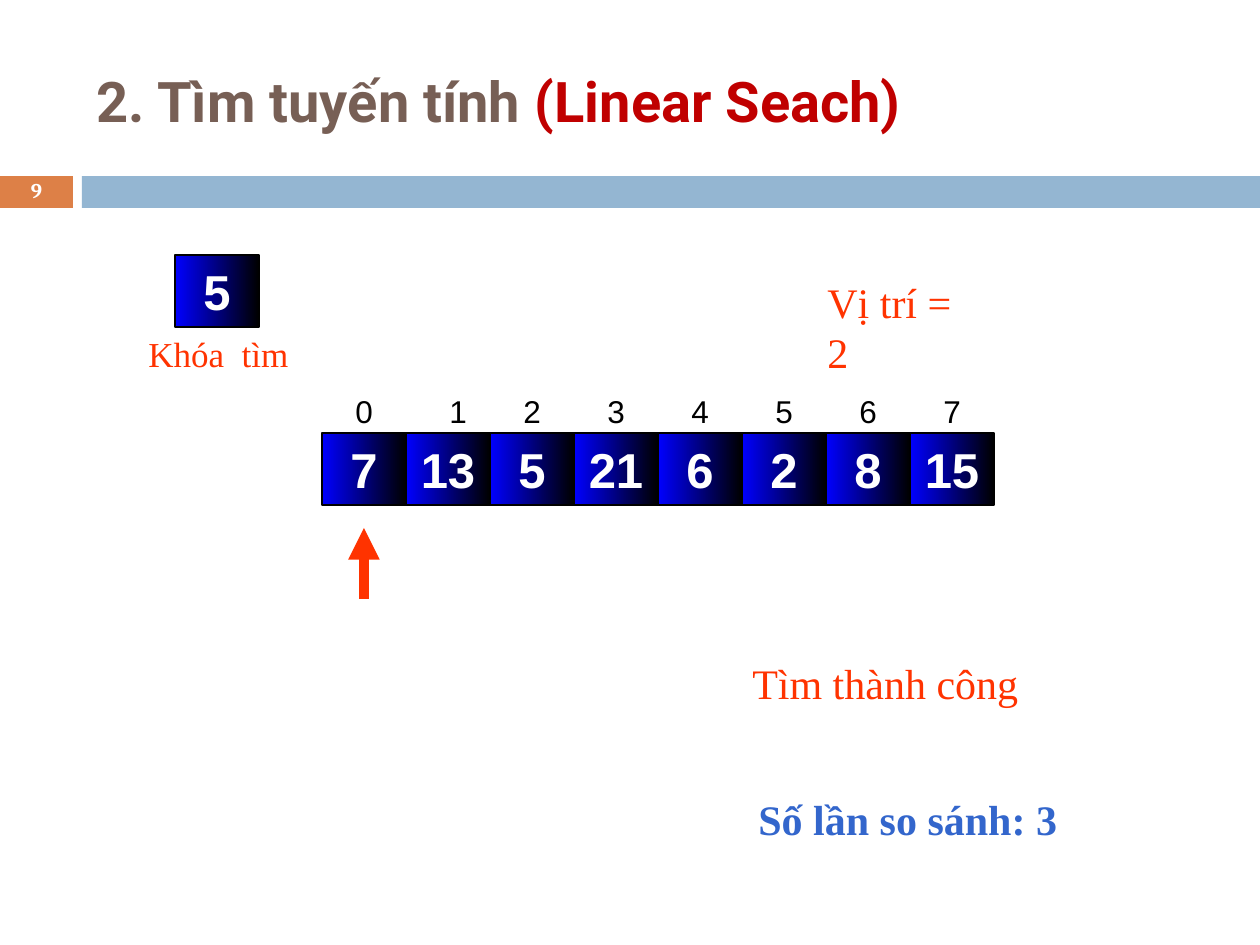
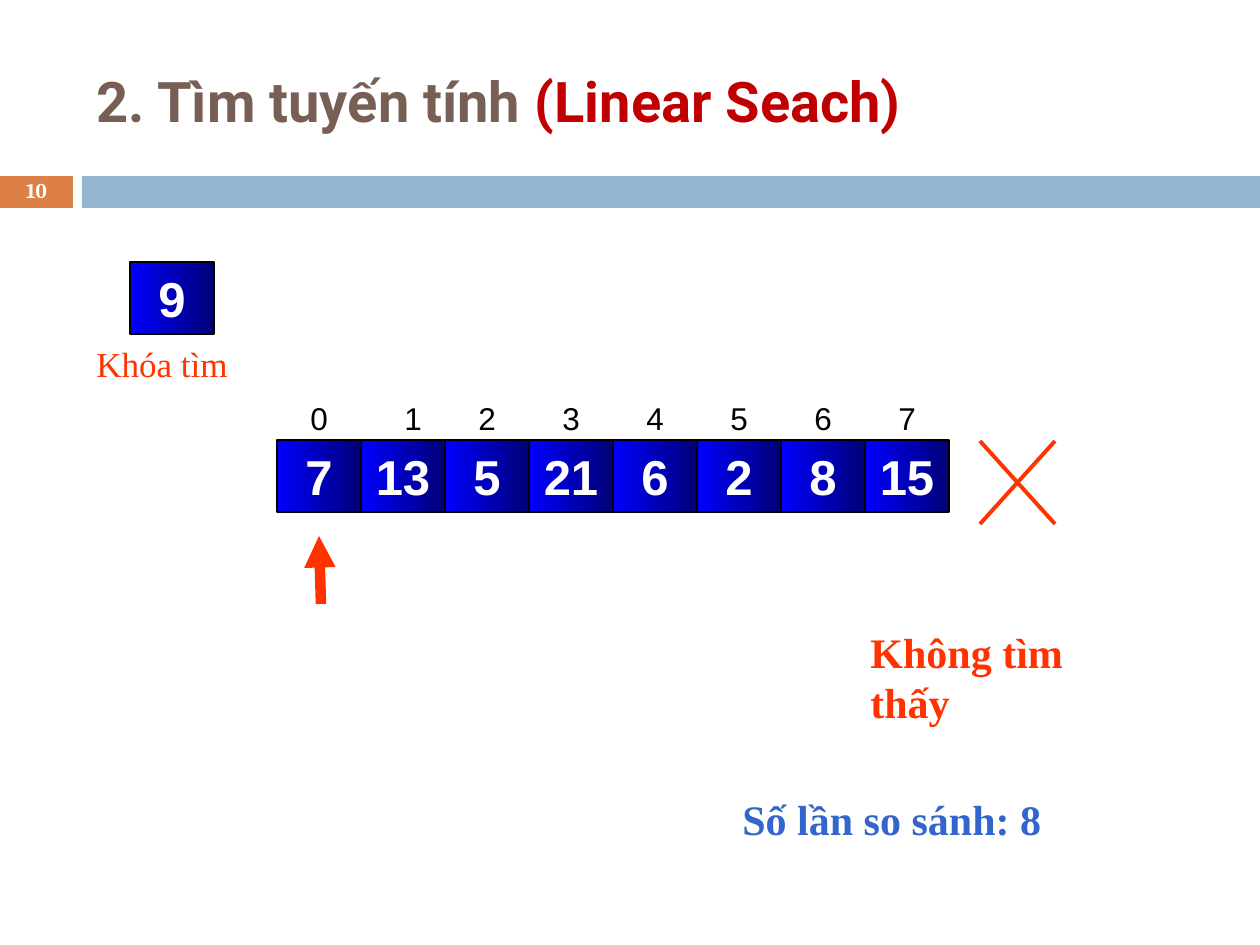
import dataclasses

import lxml.etree
import pptx
import pptx.dml.color
import pptx.enum.shapes
import pptx.enum.text
import pptx.oxml.ns
import pptx.util

PX = 914400 / 126
ALIGN = pptx.enum.text.PP_ALIGN
ANCHOR = pptx.enum.text.MSO_ANCHOR
FIT = pptx.enum.text.MSO_AUTO_SIZE
qn = pptx.oxml.ns.qn


@dataclasses.dataclass(frozen=True)
class Theme:
    brown: str = "775F55"
    crimson: str = "C00000"
    orange: str = "DD8047"
    sky: str = "94B6D2"
    red: str = "FF3300"
    blue: str = "3366CC"
    cell_blue: str = "0000FF"
    navy: str = "000076"
    black: str = "000000"
    white: str = "FFFFFF"
    title_font: str = "Roboto"
    number_font: str = "Cambria"
    cell_font: str = "Arial"
    label_font: str = "Times New Roman"
    title_size: int = 32
    cell_size: int = 28
    result_size: int = 24
    key_size: int = 20
    index_size: int = 18
    number_size: int = 12


def emu(*lengths):
    return [round(n * PX) for n in lengths]


def rgb(color):
    return pptx.dml.color.RGBColor.from_string(color)


class Deck:
    """Builds search slides in one theme."""

    def __init__(self, theme):
        self.theme = theme
        self.prs = pptx.Presentation()
        self.prs.slide_width, self.prs.slide_height = emu(1260, 945)
        self.s = None

    def run(self, p, text, font, size, color, bold=False):
        r = p.add_run()
        r.text = text
        r.font.name = font
        r.font.size = pptx.util.Pt(size)
        r.font.bold = bold
        r.font.color.rgb = rgb(color)

    def slide(self, number):
        t = self.theme
        self.s = self.prs.slides.add_slide(self.prs.slide_layouts[5])
        self.band(0, 73, t.orange)
        self.band(82, 1178, t.sky)
        sp = self.s.shapes.title
        sp.left, sp.top, sp.width, sp.height = emu(84, 32, 1124, 136)
        tf = sp.text_frame
        tf.auto_size = FIT.NONE
        tf.vertical_anchor = ANCHOR.MIDDLE
        p = tf.paragraphs[0]
        p.alignment = ALIGN.LEFT
        self.run(p, "2. Tìm tuyến tính ", t.title_font, t.title_size, t.brown, True)
        self.run(p, "(Linear Seach)", t.title_font, t.title_size, t.crimson, True)
        tf = self.s.shapes.add_textbox(*emu(0, 175, 73, 34)).text_frame
        tf.word_wrap = True
        tf.vertical_anchor = ANCHOR.MIDDLE
        p = tf.paragraphs[0]
        p.alignment = ALIGN.CENTER
        p.line_spacing = 0.8
        self.run(p, str(number), t.number_font, t.number_size, t.white, True)

    def rect(self, x, y, w, h):
        sp = self.s.shapes.add_shape(
            pptx.enum.shapes.MSO_SHAPE.RECTANGLE, *emu(x, y, w, h))
        sp.shadow.inherit = False
        return sp

    def band(self, x, w, color):
        sp = self.rect(x, 176, w, 32)
        sp.fill.solid()
        sp.fill.fore_color.rgb = rgb(color)
        sp.line.fill.background()

    def cell(self, x, y, value, shade):
        t = self.theme
        sp = self.rect(x, y, 84, 72)
        sp.fill.gradient()
        sp.fill.gradient_angle = 0
        for stop, color in zip(sp.fill.gradient_stops, (t.cell_blue, shade)):
            stop.color.rgb = rgb(color)
        sp.line.color.rgb = rgb(t.black)
        sp.line.width = pptx.util.Pt(0.75)
        tf = sp.text_frame
        tf.word_wrap = True
        tf.auto_size = FIT.SHAPE_TO_FIT_TEXT
        tf.vertical_anchor = ANCHOR.TOP
        p = tf.paragraphs[0]
        p.alignment = ALIGN.CENTER
        self.run(p, str(value), t.cell_font, t.cell_size, t.white, True)

    def text(self, box, text, font, size, color, bold=False, wrap=False, group=None):
        tf = (group or self.s).shapes.add_textbox(*emu(*box)).text_frame
        tf.word_wrap = wrap
        tf.auto_size = FIT.SHAPE_TO_FIT_TEXT
        self.run(tf.paragraphs[0], text, font, size, color, bold)

    def key_label(self, box, text):
        t = self.theme
        self.text(box, text, t.label_font, t.key_size, t.red)

    def result(self, box, text, color, bold=False, wrap=False):
        t = self.theme
        self.text(box, text, t.label_font, t.result_size, color, bold, wrap)

    def array(self, x, y, values, shade):
        t = self.theme
        for i, value in enumerate(values):
            self.cell(x + 84 * i, y, value, shade)
        group = self.s.shapes.add_group_shape()
        for i in range(len(values)):
            nudge = 10 if i == 1 else 0
            self.text((x + 84 * i + 21 + nudge, y - 47, 43, 50), str(i),
                      t.cell_font, t.index_size, t.black, group=group)

    def line(self, ends, width, arrow=False, group=None):
        sp = (group or self.s).shapes.add_connector(
            pptx.enum.shapes.MSO_CONNECTOR.STRAIGHT, *emu(*ends))
        sp.line.color.rgb = rgb(self.theme.red)
        sp.line.width = pptx.util.Pt(width)
        if arrow:
            ln = sp.line._get_or_add_ln()
            lxml.etree.SubElement(ln, qn("a:tailEnd"), type="triangle")
        lxml.etree.SubElement(sp._element.spPr, qn("a:effectLst"))

    def cross(self, left, top, right, bottom):
        group = self.s.shapes.add_group_shape()
        self.line((right, top, left, bottom), 2.25, group=group)
        self.line((left, top, right, bottom), 2.25, group=group)


def main():
    theme = Theme()
    deck = Deck(theme)
    values = [7, 13, 5, 21, 6, 2, 8, 15]

    deck.slide(9)
    deck.cell(175, 255, 5, theme.black)
    deck.key_label((136, 326, 174, 55), "Khóa  tìm")
    deck.line((364, 599, 364, 528), 6, arrow=True)
    deck.array(322, 433, values, theme.black)
    deck.result((815, 270, 180, 63), "Vị trí = 2", theme.red)
    deck.result((740, 651, 291, 63), "Tìm thành công", theme.red)
    deck.result((746, 787, 347, 63), "Số lần so sánh: 3", theme.blue, True, wrap=True)

    deck.slide(10)
    deck.cell(130, 262, 9, theme.navy)
    deck.key_label((84, 336, 165, 55), "Khóa tìm")
    deck.line((321, 604, 319, 536), 6, arrow=True)
    deck.array(277, 440, values, theme.navy)
    deck.result((858, 620, 307, 63), "Không tìm thấy", theme.red, True)
    deck.cross(980, 441, 1055, 524)
    deck.result((730, 787, 324, 63), "Số lần so sánh: 8", theme.blue, True)

    deck.prs.save("out.pptx")


if __name__ == "__main__":
    main()
